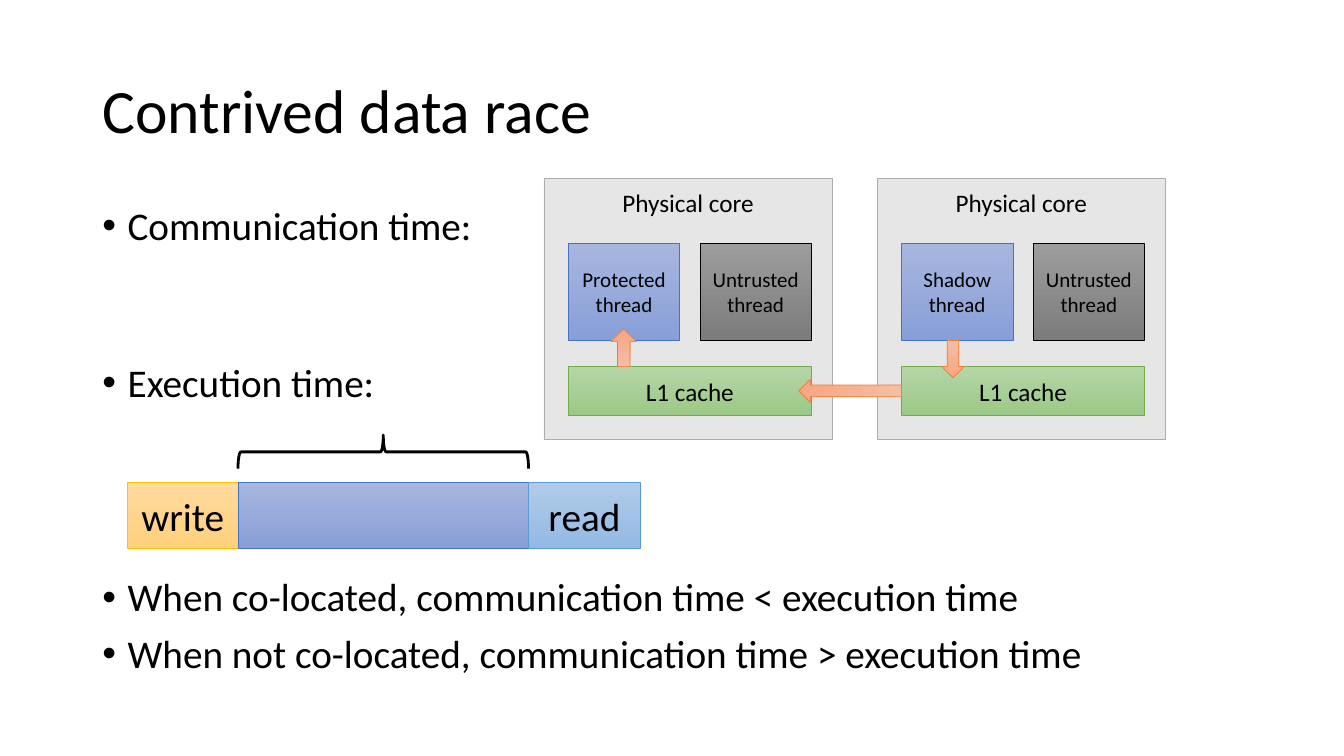
from pptx import Presentation
from pptx.dml.color import RGBColor
from pptx.enum.shapes import MSO_SHAPE
from pptx.enum.text import MSO_ANCHOR, MSO_AUTO_SIZE, PP_ALIGN
from pptx.oxml import parse_xml
from pptx.oxml.ns import nsdecls
from pptx.util import Pt

FONT = "Calibri"
BLACK = RGBColor(0x00, 0x00, 0x00)
PANEL = RGBColor(0xE7, 0xE6, 0xE6)
EDGE = RGBColor(0xAF, 0xAB, 0xAB)

# Each style: top colour, bottom colour, outline
BLUE = (RGBColor(0xA8, 0xB7, 0xDF), RGBColor(0x88, 0x9E, 0xD7), RGBColor(0x44, 0x72, 0xC4))
GRAY = (RGBColor(0x9D, 0x9D, 0x9D), RGBColor(0x7C, 0x7C, 0x7C), BLACK)
GREEN = (RGBColor(0xB5, 0xD5, 0xA7), RGBColor(0x9C, 0xC9, 0x87), RGBColor(0x70, 0xAD, 0x47))
CORAL = (RGBColor(0xF7, 0xBD, 0xA5), RGBColor(0xF8, 0xA5, 0x82), RGBColor(0xED, 0x7D, 0x31))
GOLD = (RGBColor(0xFF, 0xDB, 0x9E), RGBColor(0xFF, 0xD0, 0x7C), RGBColor(0xFF, 0xC0, 0x00))
SKY = (RGBColor(0xB1, 0xCB, 0xE9), RGBColor(0x93, 0xB9, 0xE4), RGBColor(0x5B, 0x9B, 0xD5))

# Bullet text and the space above it
ITEMS = [
    ("Communication time:", 10),
    ("Execution time:", 82),
    ("When co-located, communication time < execution time", 123),
    ("When not co-located, communication time > execution time", 10),
]


def set_font(para, size):
    para.font.name = FONT
    para.font.size = Pt(size)
    para.font.color.rgb = BLACK


def place(shape, left, top, width, height):
    shape.left, shape.top = Pt(left), Pt(top)
    shape.width, shape.height = Pt(width), Pt(height)


def add_form(slide, kind, box, line, weight=0.5, turn=0):
    shape = slide.shapes.add_shape(kind, *map(Pt, box))
    shape.shadow.inherit = False
    shape.rotation = turn
    shape.fill.background()
    shape.line.color.rgb = line
    shape.line.width = Pt(weight)
    return shape


def add_shade(slide, kind, box, style, turn=0):
    shape = add_form(slide, kind, box, style[2], turn=turn)
    shape.fill.gradient()
    shape.fill.gradient_angle = 270
    for stop, color in zip(shape.fill.gradient_stops, style):
        stop.color.rgb = color
    return shape


def add_label(shape, text, size):
    frame = shape.text_frame
    frame.vertical_anchor = MSO_ANCHOR.MIDDLE
    para = frame.paragraphs[0]
    para.text = text
    para.alignment = PP_ALIGN.CENTER
    set_font(para, size)


def add_block(slide, box, style, text="", size=18):
    shape = add_shade(slide, MSO_SHAPE.RECTANGLE, box, style)
    if text:
        add_label(shape, text, size)


def add_arrow(slide, box, turn=0):
    add_shade(slide, MSO_SHAPE.DOWN_ARROW, box, CORAL, turn)


def add_core(slide, left, thread):
    panel = add_form(slide, MSO_SHAPE.RECTANGLE, (left, 127.5, 206, 186.5), EDGE)
    panel.fill.solid()
    panel.fill.fore_color.rgb = PANEL
    add_label(panel, "Physical core", 18)
    panel.text_frame.vertical_anchor = MSO_ANCHOR.TOP
    panel.text_frame.margin_top = Pt(6)
    inner = left + 17.5
    threads = [(thread, BLUE), ("Untrusted thread", GRAY)]
    for i, (text, style) in enumerate(threads):
        add_block(slide, (inner + 94 * i, 173.5, 79.5, 70), style, text, 15)
    add_block(slide, (inner, 261.75, 173.5, 35), GREEN, "L1 cache")


def fill_title(title):
    place(title, 66, 28.75, 828, 104.4)
    title.text_frame.auto_size = MSO_AUTO_SIZE.NONE
    title.text_frame.vertical_anchor = MSO_ANCHOR.MIDDLE
    para = title.text_frame.paragraphs[0]
    para.text = "Contrived data race"
    para.alignment = PP_ALIGN.LEFT
    para.line_spacing = 0.9
    set_font(para, 44)


def fill_list(body):
    place(body, 66, 143.75, 828, 396)
    frame = body.text_frame
    frame.auto_size = MSO_AUTO_SIZE.NONE
    for i, (text, gap) in enumerate(ITEMS):
        para = frame.add_paragraph() if i else frame.paragraphs[0]
        para.text = text
        para.line_spacing = 0.9
        para.space_before = Pt(gap)
        para.space_after = Pt(0)
        set_font(para, 28)
        # Hanging round bullet
        props = para._p.get_or_add_pPr()
        props.set("marL", str(Pt(18)))
        props.set("indent", str(-Pt(18)))
        for tag in ('buFont {} typeface="Arial"', 'buChar {} char="•"'):
            mark = parse_xml("<a:" + tag.format(nsdecls("a")) + "/>")
            props.insert_element_before(mark, "a:tabLst", "a:defRPr", "a:extLst")


def main():
    deck = Presentation()
    deck.slide_width, deck.slide_height = Pt(960), Pt(540)
    slide = deck.slides.add_slide(deck.slide_layouts[1])

    # Title and list
    fill_title(slide.shapes.title)
    fill_list(slide.placeholders[1])

    # Cores and the path between them
    add_core(slide, 388.5, "Protected thread")
    add_core(slide, 626.5, "Shadow thread")
    add_arrow(slide, (436.5, 235, 18, 27), 180)
    add_arrow(slide, (672.5, 243.25, 16.5, 26.75))
    add_arrow(slide, (599, 242.5, 16.5, 73.5), 90)

    # Timeline, with the brace over its middle part
    left = 91
    for text, width, style in [("write", 79, GOLD), ("", 207.5, BLUE), ("read", 80, SKY)]:
        add_block(slide, (left, 344.75, width, 47), style, text, 28)
        left += width
    add_form(slide, MSO_SHAPE.LEFT_BRACE, (261.75, 219, 24, 207.5), BLACK, 2, 90)

    deck.save("out.pptx")


if __name__ == "__main__":
    main()
